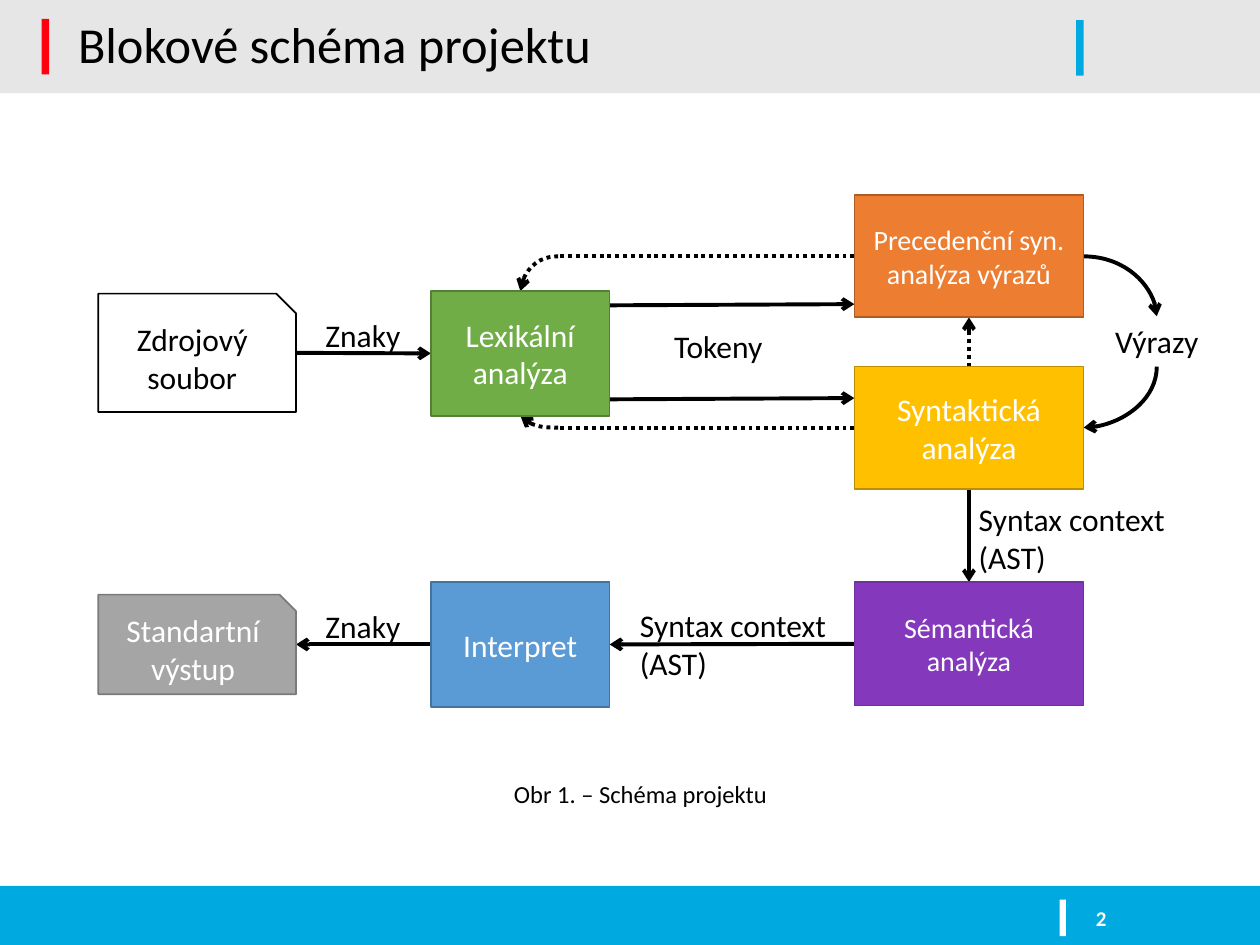
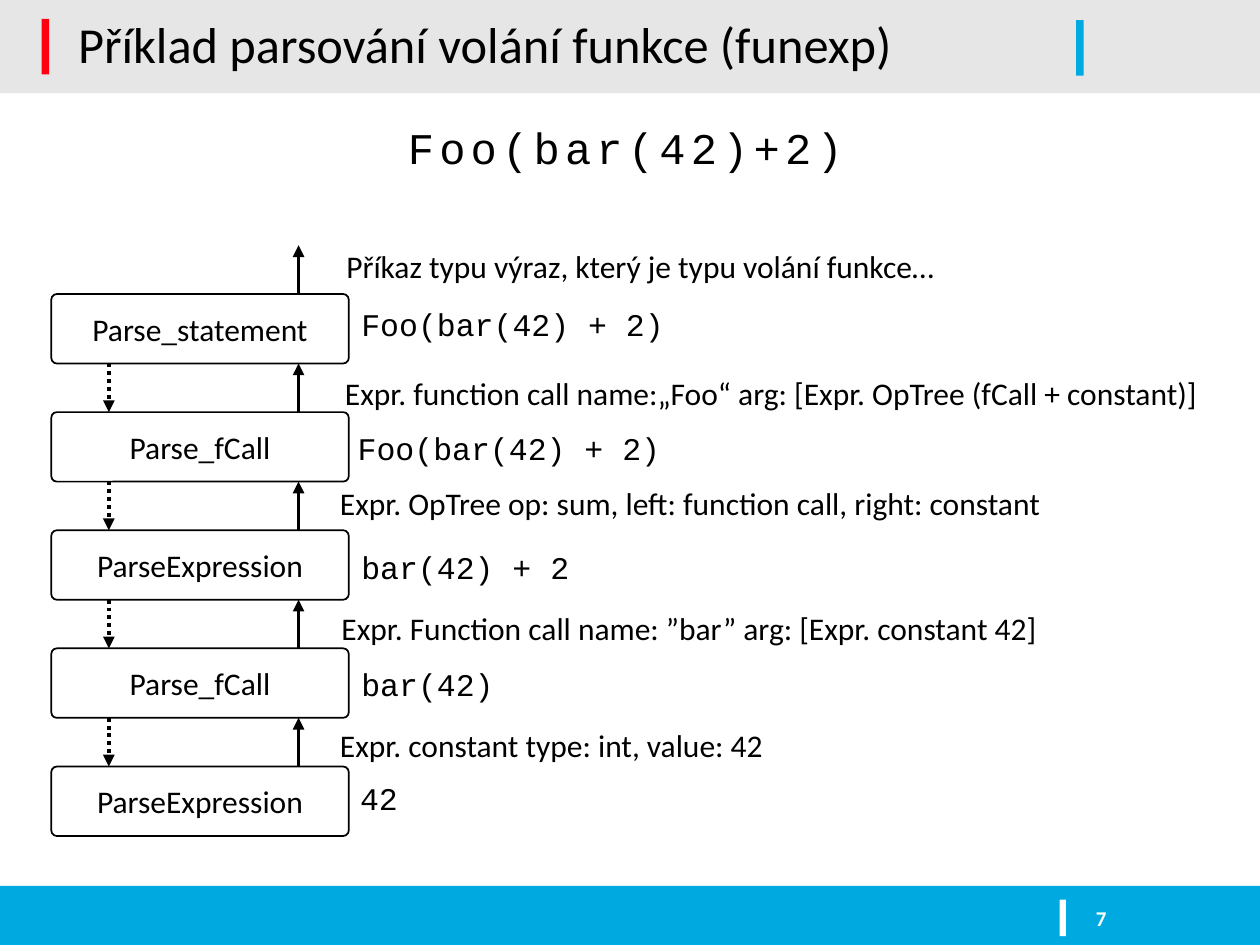
import lxml.etree
import pptx
import pptx.dml.color
import pptx.enum.dml
import pptx.enum.shapes
import pptx.enum.text
import pptx.oxml.ns
import pptx.util

Pt = pptx.util.Pt
qn = pptx.oxml.ns.qn
SHAPES = pptx.enum.shapes.MSO_SHAPE
CONNECTORS = pptx.enum.shapes.MSO_CONNECTOR
ALIGN = pptx.enum.text.PP_ALIGN
ANCHOR = pptx.enum.text.MSO_ANCHOR


class Theme:
    """Colours, fonts and type sizes of the deck."""
    black, white, grey = "000000", "FFFFFF", "E6E6E6"
    blue, red = "00A9E0", "FE000F"
    font, code_font = "Calibri", "Courier New"
    title, headline, body, small, caption, number = 28.8, 25, 18, 16, 14, 12
    outline, arrow = 1, 2.25


# Left, top, width, height, colour of the bands and marks on every slide.
BANDS = [
    (0, 0, 720, 53.3, Theme.grey),
    (0, 506.2, 720, 33.8, Theme.blue),
    (23.8, 10.8, 4.3, 31.7, Theme.red),
    (605.5, 514, 3.6, 20.9, Theme.white),
    (614.9, 11.5, 4.3, 31.7, Theme.blue),
]

# Diagram columns: left, width.
FILES, STAGES, PARSERS = (56.2, 113), (246.2, 102.2), (488.2, 131)

# Name: column, top, height, preset, fill, line, text colour, size, text.
BLOCKS = {
    "lexer": (STAGES, 166.3, 71.3, SHAPES.RECTANGLE, "70AD47", "538035",
              Theme.white, Theme.body, "Lexikální analýza"),
    "interpreter": (STAGES, 332.6, 71.3, SHAPES.RECTANGLE, "5B9BD5", "43739E",
                    Theme.white, Theme.body, "Interpret"),
    "syntax": (PARSERS, 209.5, 69.8, SHAPES.RECTANGLE, "FFC000", "BD8E00",
               Theme.white, Theme.body, "Syntaktická analýza"),
    "precedence": (PARSERS, 111.6, 69.8, SHAPES.RECTANGLE, "ED7D31", "AF5C24",
                   Theme.white, Theme.small, "Precedenční syn. analýza výrazů"),
    "semantics": (PARSERS, 332.6, 70.6, SHAPES.RECTANGLE, "8439BD", "7030A0",
                  Theme.white, Theme.small, "Sémantická analýza"),
    "source": (FILES, 167.8, 67.7, SHAPES.SNIP_1_RECTANGLE, Theme.white,
               Theme.black, Theme.black, Theme.body, "Zdrojový soubor"),
    "output": (FILES, 339.8, 56.9, SHAPES.SNIP_1_RECTANGLE, "A5A5A5", "7A7A7A",
               Theme.white, Theme.body, "Standartní výstup"),
}

# Straight arrows between block sides.
FLOWS = [
    ("source", "right", "lexer", "left", False),
    ("lexer", "right", "precedence", "low left", False),
    ("lexer", "right", "syntax", "high left", False),
    ("syntax", "top", "precedence", "bottom", True),
    ("syntax", "bottom", "semantics", "top", False),
    ("semantics", "left", "interpreter", "right", False),
    ("interpreter", "left", "output", "right", False),
]

# Left, top, width, height, alignment, size, text.
DIAGRAM_LABELS = [
    (286.6, 441.4, 194.4, 25.2, ALIGN.LEFT, Theme.caption,
     "Obr 1. – Schéma projektu"),
    (552.2, 282.2, 131, 51.1, ALIGN.LEFT, Theme.body, "Syntax context (AST)"),
    (358.6, 342.7, 131, 51.1, ALIGN.LEFT, Theme.body, "Syntax context (AST)"),
    (374.4, 183.6, 72, 28.8, ALIGN.CENTER, Theme.body, "Tokeny"),
    (171.4, 177.1, 72, 28.8, ALIGN.CENTER, Theme.body, "Znaky"),
    (171.4, 343.4, 72, 28.8, ALIGN.CENTER, Theme.body, "Znaky"),
    (625, 180.7, 72, 28.8, ALIGN.CENTER, Theme.body, "Výrazy"),
]

# Function, (left, top, width, text) of its input and of its result.
CALLS = [
    ("Parse_statement", (199.4, 170.6, 188, "Foo(bar(42) + 2)"),
     (190.8, 137.5, 512.6, "Příkaz typu výraz, který je typu volání funkce…")),
    ("Parse_fCall", (197.3, 241.9, 188, "Foo(bar(42) + 2)"),
     (190, 210.2, 512.6, "Expr. function call name:„Foo“ arg: "
      "[Expr. OpTree (fCall + constant)]")),
    ("ParseExpression", (199.4, 309.6, 134, "bar(42) + 2"),
     (187.2, 272.9, 425,
      "Expr. OpTree op: sum, left: function call, right: constant")),
    ("Parse_fCall", (199.4, 376.6, 91, "bar(42)"),
     (188, 344.2, 418,
      "Expr. Function call name: ”bar” arg: [Expr. constant 42]")),
    ("ParseExpression", (198.7, 441.4, 38, "42"),
     (187.2, 411.1, 262, "Expr. constant type: int, value: 42")),
]


def rgb(colour):
    """Turn a hexadecimal colour into an RGBColor."""
    return pptx.dml.color.RGBColor.from_string(colour)


def write(shape, text, size, colour=Theme.black, font=Theme.font,
          align=ALIGN.LEFT, anchor=ANCHOR.TOP, bold=False):
    """Set and format the single paragraph of a shape, and return it."""
    frame = shape.text_frame
    frame.text = text
    frame.word_wrap = True
    frame.auto_size = pptx.enum.text.MSO_AUTO_SIZE.NONE
    frame.vertical_anchor = anchor
    paragraph = frame.paragraphs[0]
    paragraph.alignment = align
    style = paragraph.runs[0].font
    style.name, style.size, style.bold = font, Pt(size), bold
    style.color.rgb = rgb(colour)
    return paragraph


def add_text(slide, left, top, width, height, text, size, **style):
    """Add a text box and return its paragraph."""
    box = slide.shapes.add_textbox(Pt(left), Pt(top), Pt(width), Pt(height))
    return write(box, text, size, **style)


def add_box(slide, preset, left, top, width, height, fill, line=None):
    """Add a flat preset shape, outlined when a line colour is given."""
    shape = slide.shapes.add_shape(
        preset, Pt(left), Pt(top), Pt(width), Pt(height))
    shape.shadow.inherit = False
    shape.fill.solid()
    shape.fill.fore_color.rgb = rgb(fill)
    if line:
        shape.line.color.rgb = rgb(line)
        shape.line.width = Pt(Theme.outline)
    else:
        shape.line.fill.background()
    return shape


def add_arrow(slide, start, end, dotted=False, curved=False,
              tip="arrow", tip_end="tailEnd"):
    """Add a connector; a curved one leaves its start horizontally."""
    kind = CONNECTORS.CURVE if curved else CONNECTORS.STRAIGHT
    connector = slide.shapes.add_connector(
        kind, *(Pt(value) for value in (*start, *end)))
    connector.line.color.rgb = rgb(Theme.black)
    connector.line.width = Pt(Theme.arrow)
    if dotted:
        connector.line.dash_style = pptx.enum.dml.MSO_LINE.ROUND_DOT
    properties = connector.element.spPr
    if curved:
        properties.find(qn("a:prstGeom")).set("prst", "curvedConnector2")
    if tip:
        lxml.etree.SubElement(
            properties.find(qn("a:ln")), qn("a:" + tip_end), type=tip)
    lxml.etree.SubElement(properties, qn("a:effectLst"))


def side(name, where):
    """Return the point of a block where an arrow meets it."""
    (left, width), top, height = BLOCKS[name][:3]
    middle = top + height / 2
    return {
        "left": (left, middle),
        "right": (left + width, middle),
        "top": (left + width / 2, top),
        "bottom": (left + width / 2, top + height),
        "low left": (left, top + height - 7.6),
        "high left": (left, top + 18),
    }[where]


def move_bands_to_layout(slide):
    """Draw the bands once and place them behind everything in the layout."""
    tree = slide.slide_layout.shapes.element
    for position, (left, top, width, height, colour) in enumerate(BANDS):
        band = add_box(slide, SHAPES.RECTANGLE, left, top, width, height, colour)
        tree.insert(2 + position, band.element)


def add_slide(presentation, title, number):
    """Add a title-only slide with its title and number."""
    slide = presentation.slides.add_slide(presentation.slide_layouts[5])
    heading = slide.shapes.title
    heading.left, heading.top = Pt(37.4), Pt(8.6)
    heading.width, heading.height = Pt(568), Pt(36.7)
    paragraph = write(heading, title, Theme.title, anchor=ANCHOR.MIDDLE)
    paragraph.line_spacing = 0.9
    add_text(slide, 619.2, 514, 90.7, 20.9, number, Theme.number,
             colour=Theme.white, anchor=ANCHOR.MIDDLE, bold=True)
    return slide


def draw_diagram(slide):
    """Draw the blocks of the project and the flows between them."""
    for first, start, second, end, dotted in FLOWS:
        begin, finish = side(first, start), side(second, end)
        if " " in end:
            begin = (begin[0], finish[1] + 0.7)
        add_arrow(slide, begin, finish, dotted)

    # Dotted requests run left from the parsers, then bend into the lexer.
    bend, entry = 319, 297.4
    for parser, edge in (("precedence", "top"), ("syntax", "bottom")):
        begin = side(parser, "left")
        corner = (bend, begin[1])
        add_arrow(slide, begin, corner, dotted=True, tip=None)
        add_arrow(slide, corner, (entry, side("lexer", edge)[1]),
                  dotted=True, curved=True)

    # Expressions leave the precedence parser and return to the syntax parser.
    loop = 661
    add_arrow(slide, side("precedence", "right"), (loop, 180.7), curved=True)
    add_arrow(slide, side("syntax", "right"), (loop, 209.5), curved=True,
              tip_end="headEnd")

    for (left, width), top, height, preset, fill, line, colour, size, text \
            in BLOCKS.values():
        block = add_box(slide, preset, left, top, width, height, fill, line)
        write(block, text, size, colour, align=ALIGN.CENTER,
              anchor=ANCHOR.MIDDLE)
    for left, top, width, height, align, size, text in DIAGRAM_LABELS:
        add_text(slide, left, top, width, height, text, size, align=align)


def draw_calls(slide):
    """Draw the stack of parser calls with their inputs and results."""
    headline = add_text(slide, 20.2, 71.3, 674.6, 33.1, "Foo(bar(42)+2)",
                        Theme.headline, font=Theme.code_font,
                        align=ALIGN.CENTER)
    headline.line_spacing, headline.space_before = 0.8, Pt(10)
    headline.runs[0].font.element.set("spc", "300") if hasattr(
        headline.runs[0].font, "element") else headline.runs[
        0]._r.get_or_add_rPr().set("spc", "300")

    left, first_top, width, height, pitch = 29.3, 168, 170, 39.7, 67.5
    gap = pitch - height
    down, up = 62.2, 170.6
    for index, (name, given, result) in enumerate(CALLS):
        top = first_top + index * pitch
        box = add_box(slide, SHAPES.ROUNDED_RECTANGLE, left, top, width, height,
                      Theme.white, Theme.black)
        box.adjustments[0] = 0.08
        write(box, name, Theme.body, align=ALIGN.CENTER, anchor=ANCHOR.MIDDLE)
        add_arrow(slide, (up, top), (up, top - gap), tip="triangle")
        if index:
            add_arrow(slide, (down, top - gap), (down, top), dotted=True,
                      tip="triangle")
        for (x, y, room, text), font in ((given, Theme.code_font),
                                         (result, Theme.font)):
            add_text(slide, x, y, room + 4, 28.8, text, Theme.body, font=font)


def main():
    """Build and save the deck."""
    presentation = pptx.Presentation()
    presentation.slide_width, presentation.slide_height = Pt(720), Pt(540)
    diagram = add_slide(presentation, "Blokové schéma projektu", "2")
    move_bands_to_layout(diagram)
    draw_diagram(diagram)
    draw_calls(add_slide(
        presentation, "Příklad parsování volání funkce (funexp)", "7"))
    presentation.save("out.pptx")


main()
